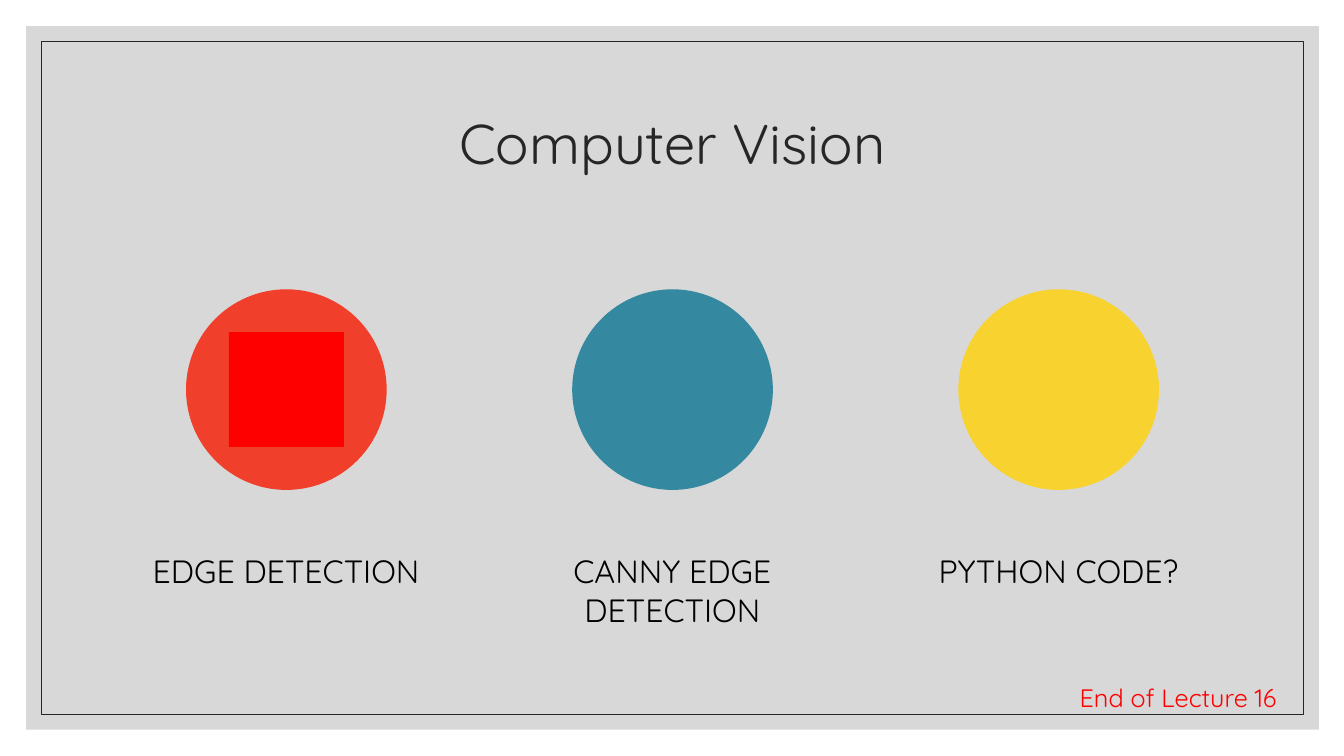
import pptx
import pptx.util
import pptx.dml.color
import pptx.enum.shapes
import pptx.enum.text
import pptx.oxml

Inches = pptx.util.Inches
SHAPE = pptx.enum.shapes.MSO_SHAPE
ALIGN = pptx.enum.text.PP_ALIGN
ANCHOR = pptx.enum.text.MSO_ANCHOR

FONT = "Quicksand"
INK = "262626"
TOPICS = [
    ("EDGE DETECTION", "F03F2B", "FF0000"),
    ("CANNY EDGE DETECTION", "3488A0", None),
    ("PYTHON CODE?", "F8D22F", None),
]


def color(value):
    return pptx.dml.color.RGBColor.from_string(value)


def add_figure(page, kind, box, fill=None, line=None, opacity=None):
    shape = page.shapes.add_shape(kind, *(Inches(length) for length in box))
    shape.shadow.inherit = False
    if fill:
        shape.fill.solid()
        shape.fill.fore_color.rgb = color(fill)
    else:
        shape.fill.background()
    if line:
        shape.line.color.rgb = color(line)
        shape.line.width = pptx.util.Pt(0.5)
    else:
        shape.line.fill.background()
    if opacity is not None:
        tint = shape.fill._xPr.find(".//" + pptx.oxml.ns.qn("a:srgbClr"))
        alpha = pptx.oxml.parse_xml(
            f'<a:alpha {pptx.oxml.ns.nsdecls("a")} val="{opacity * 1000}"/>')
        tint.append(alpha)


def add_text(page, text, box, size, ink, align=ALIGN.CENTER, anchor=ANCHOR.TOP,
             spacing=None, margin=None, wrap=True):
    frame = page.shapes.add_textbox(*(Inches(length) for length in box)).text_frame
    frame.word_wrap = wrap
    frame.vertical_anchor = anchor
    if margin is not None:
        frame.margin_left = frame.margin_right = Inches(margin)
        frame.margin_top = frame.margin_bottom = Inches(margin)
    para = frame.paragraphs[0]
    para.alignment = align
    para.line_spacing = spacing
    span = para.add_run()
    span.text = text
    span.font.name = FONT
    span.font.size = pptx.util.Pt(size)
    span.font.color.rgb = color(ink)


def add_background(page, box):
    left, top, width, height = box
    inset = 0.15
    add_figure(page, SHAPE.RECTANGLE, box, fill="BFBFBF", opacity=60)
    frame = (left + inset, top + inset, width - 2 * inset, height - 2 * inset)
    add_figure(page, SHAPE.RECTANGLE, frame, line=INK)


def add_topic(page, box, label, circle_fill, square_fill):
    left, top, width, height = box
    circle, square, label_height = 1.99, 1.14, 0.79
    center = left + width / 2
    middle = top + circle / 2
    add_figure(page, SHAPE.OVAL, (center - circle / 2, top, circle, circle),
               fill=circle_fill)
    if square_fill:
        square_box = (center - square / 2, middle - square / 2, square, square)
        add_figure(page, SHAPE.RECTANGLE, square_box, fill=square_fill)
    label_box = (left, top + height - label_height, width, label_height)
    add_text(page, label, label_box, 23, "000000", margin=0)


def add_topics(page, box):
    left, top, width, height = box
    topic_width = 3.26
    step = (width - topic_width) / (len(TOPICS) - 1)
    for index, topic in enumerate(TOPICS):
        add_topic(page, (left + index * step, top, topic_width, height), *topic)


def main():
    deck = pptx.Presentation()
    deck.slide_width = Inches(13.33)
    deck.slide_height = Inches(7.5)
    page = deck.slides.add_slide(deck.slide_layouts[6])
    add_background(page, (0.26, 0.26, 12.82, 6.98))
    add_text(page, "Computer Vision", (1.17, 0.7, 11, 1.5), 40, INK,
             anchor=ANCHOR.MIDDLE, spacing=0.9)
    add_topics(page, (1.21, 2.87, 10.92, 3.39))
    add_text(page, "End of Lecture 16", (10.61, 6.72, 2.32, 0.4), 18, "FF0000",
             align=ALIGN.LEFT, wrap=False)
    deck.save("out.pptx")


if __name__ == "__main__":
    main()
